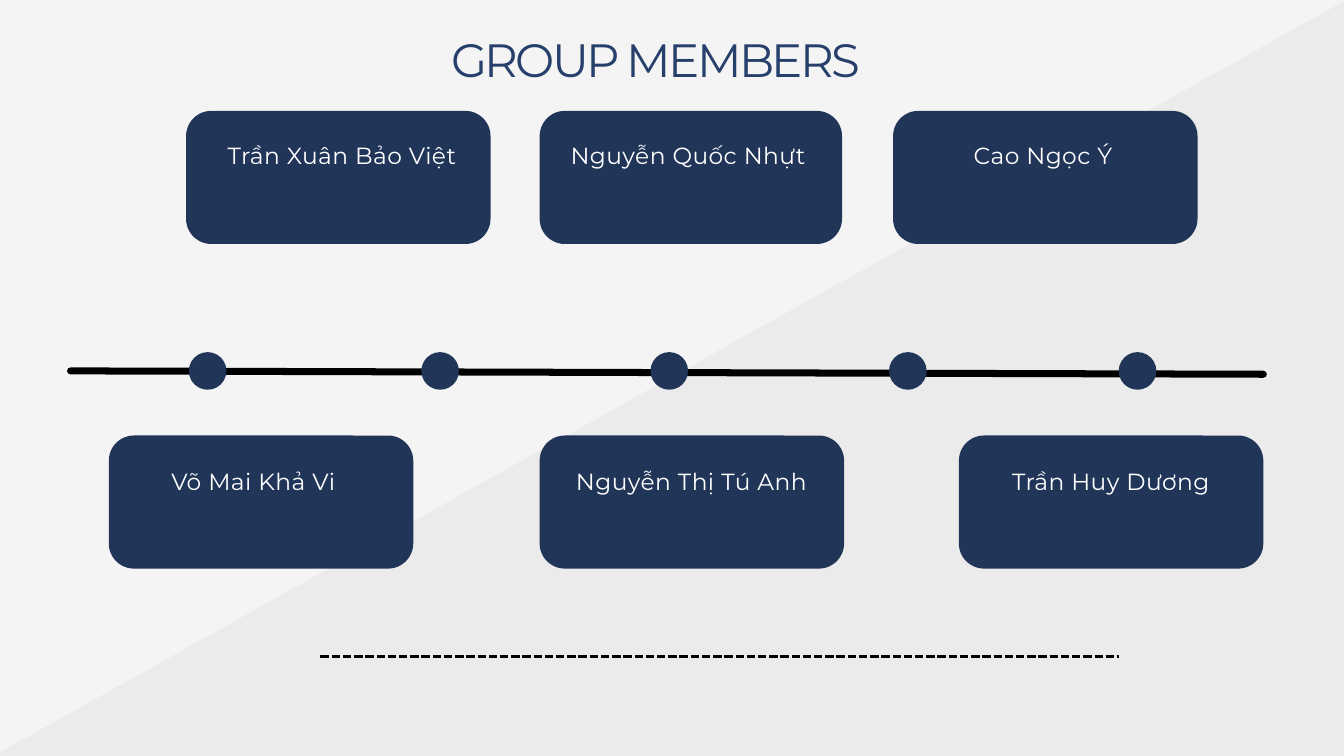
from pptx import Presentation
from pptx import util as u
from pptx.dml.color import RGBColor
from pptx.enum import dml, shapes, text
from pptx.oxml.ns import qn
from lxml import etree

COLORS = {
    "background": "F4F4F4",
    "shade": "545454",
    "navy": "213559",
    "title": "263F6B",
    "white": "FFFFFF",
    "black": "000000",
}
FONT = "Montserrat"
CARD_W, CARD_H, CARD_RADIUS = 326.2, 142.6, 27
DOT_SIZE = 40.3
DOT_TOP = 377.3
DOT_CENTERS = [222.5, 471.6, 717.1, 972.7, 1218.8]
# Each row: card top, name top, then (name, card left, card width, name left, name width)
ROWS = [
    (118.8, 149, [
        ("Trần Xuân Bảo Việt", 199.4, CARD_W, 211.7, 309.6),
        ("Nguyễn Quốc Nhựt", 578.2, 324, 572.4, 329.8),
        ("Cao Ngọc Ý", 956.9, CARD_W, 952.6, 329.8),
    ]),
    (466.6, 498.2, [
        ("Võ Mai Khả Vi", 116.6, CARD_W, 116.6, 309.6),
        ("Nguyễn Thị Tú Anh", 578.2, CARD_W, 586.1, 309.6),
        ("Trần Huy Dương", 1027.4, CARD_W, 1035.4, 309.6),
    ]),
]


def rgb(name):
    return RGBColor.from_string(COLORS[name])


def add_filled(s, kind, x, y, w, h, color="navy"):
    sp = s.shapes.add_shape(kind, u.Pt(x), u.Pt(y), u.Pt(w), u.Pt(h))
    sp.shadow.inherit = False
    sp.fill.solid()
    sp.fill.fore_color.rgb = rgb(color)
    sp.line.fill.background()
    return sp


def add_shade(s):
    sp = add_filled(s, shapes.MSO_SHAPE.RECTANGLE, -87.8, 342.7, 2030.4, 754.6, "shade")
    sp.rotation = 330.8
    clr = sp.fill._xPr.find(".//" + qn("a:srgbClr"))
    etree.SubElement(clr, qn("a:alpha"), val="5000")


def add_card(s, x, y, w):
    sp = add_filled(s, shapes.MSO_SHAPE.ROUNDED_RECTANGLE, x, y, w, CARD_H)
    sp.adjustments[0] = CARD_RADIUS / CARD_H


def add_line(s, x1, y1, x2, y2, width, dash=None, cap="flat"):
    ln = s.shapes.add_connector(shapes.MSO_CONNECTOR.STRAIGHT,
                                u.Pt(x1), u.Pt(y1), u.Pt(x2), u.Pt(y2))
    ln.line.color.rgb = rgb("black")
    ln.line.width = u.Pt(width)
    if dash:
        ln.line.dash_style = dash
    ln.line._get_or_add_ln().set("cap", cap)
    etree.SubElement(ln._element.spPr, qn("a:effectLst"))


def add_text(s, content, x, y, w, h, size=25, color="white", leading=32.5, spacing=0.5):
    tf = s.shapes.add_textbox(u.Pt(x), u.Pt(y), u.Pt(w), u.Pt(h)).text_frame
    tf.word_wrap = True
    tf.margin_left = tf.margin_right = tf.margin_top = tf.margin_bottom = 0
    tf.auto_size = text.MSO_AUTO_SIZE.SHAPE_TO_FIT_TEXT
    p = tf.paragraphs[0]
    p.alignment = text.PP_ALIGN.CENTER
    p.line_spacing = u.Pt(leading)
    r = p.add_run()
    r.text = content
    r.font.name = FONT
    r.font.size = u.Pt(size)
    r.font.color.rgb = rgb(color)
    r._r.get_or_add_rPr().set("spc", str(round(spacing * 100)))


def main():
    prs = Presentation()
    prs.slide_width, prs.slide_height = u.Pt(1440), u.Pt(810)
    s = prs.slides.add_slide(prs.slide_layouts[6])
    s.background.fill.solid()
    s.background.fill.fore_color.rgb = rgb("background")

    add_shade(s)
    add_line(s, 75.6, 397.4, 1353.6, 401, 7.5, cap="rnd")
    for center in DOT_CENTERS:
        add_filled(s, shapes.MSO_SHAPE.OVAL, center - DOT_SIZE / 2, DOT_TOP, DOT_SIZE, DOT_SIZE)
    add_text(s, "GROUP MEMBERS", 150.5, 43.9, 1103.8, 50.4,
             size=50, color="title", leading=49, spacing=-2.9)
    for card_top, name_top, members in ROWS:
        for name, card_x, card_w, name_x, name_w in members:
            add_card(s, card_x, card_top, card_w)
            add_text(s, name, name_x, name_top, name_w, 31)
    add_line(s, 343.4, 703.4, 1198.8, 703.4, 3, dash=dml.MSO_LINE.SQUARE_DOT)

    prs.save("out.pptx")


if __name__ == "__main__":
    main()
